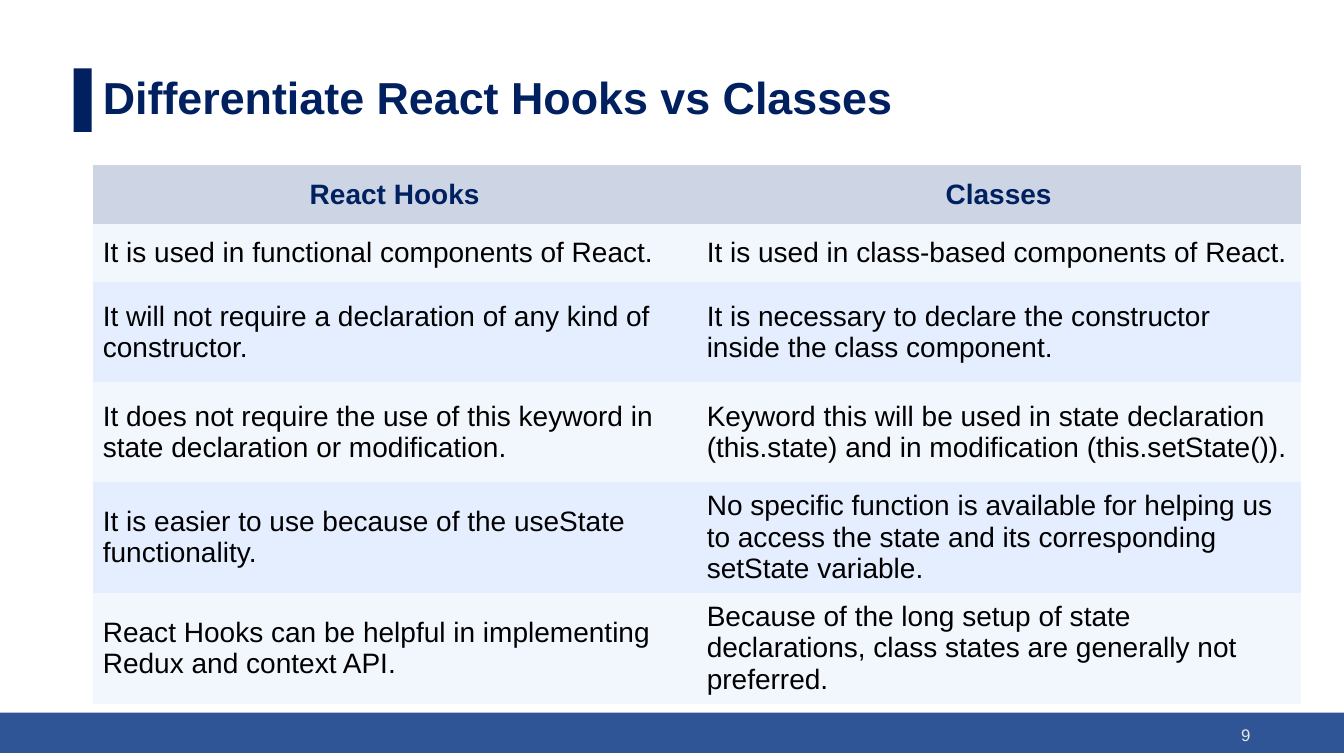
from dataclasses import dataclass

from pptx import Presentation
from pptx import util as u
from pptx.dml import color
from pptx.enum import shapes, text
from pptx.oxml import ns

PX = 9144
NAVY = "002060"
FONT = "Arial"
NO_GRID_STYLE = "{2D5ABB26-0587-4C30-8999-92F81FD0307C}"


@dataclass(frozen=True)
class Box:
    left: int
    top: int
    width: int
    height: int

    def emu(self):
        return [px(n) for n in (self.left, self.top, self.width, self.height)]


@dataclass(frozen=True)
class Bar:
    box: Box
    fill: str


@dataclass(frozen=True)
class Comparison:
    hooks: str
    classes: str
    height: int


BARS = [
    Bar(Box(0, 707, 1333, 40), "2F5597"),
    Bar(Box(73, 68, 18, 63), NAVY),
]
TITLE_BOX = Box(92, 68, 1150, 63)
NUMBER_BOX = Box(950, 709, 300, 40)
TABLE_BOX = Box(92, 164, 1198, 512)
HEADER_FILL = "CDD5E4"
BAND_FILLS = ["F2F6FD", "E4EEFF"]
COMPARISONS = [
    Comparison("React Hooks", "Classes", 58),
    Comparison(
        "It is used in functional components of React.",
        "It is used in class-based components of React.",
        58,
    ),
    Comparison(
        "It will not require a declaration of any kind of constructor.",
        "It is necessary to declare the constructor inside the class component.",
        99,
    ),
    Comparison(
        "It does not require the use of this keyword in state declaration or modification.",
        "Keyword this will be used in state declaration (this.state) "
        "and in modification (this.setState()).",
        99,
    ),
    Comparison(
        "It is easier to use because of the useState functionality.",
        "No specific function is available for helping us to access the state "
        "and its corresponding setState variable.",
        99,
    ),
    Comparison(
        "React Hooks can be helpful in implementing Redux and context API.",
        "Because of the long setup of state declarations, "
        "class states are generally not preferred.",
        99,
    ),
]


def px(length: int) -> u.Emu:
    return u.Emu(length * PX)


def paint(target, colour: str) -> None:
    target.solid()
    target.fore_color.rgb = color.RGBColor.from_string(colour)


def write(frame, words: str, *, size: int, colour: str, bold: bool = False,
          align=text.PP_ALIGN.LEFT, spacing: float = 1.0) -> None:
    frame.word_wrap = True
    paragraph = frame.paragraphs[0]
    paragraph.alignment = align
    paragraph.line_spacing = spacing
    run = paragraph.add_run()
    run.text = words
    run.font.name = FONT
    run.font.size = u.Pt(size)
    run.font.bold = bold
    paint(run.font.fill, colour)


def draw_bar(slide, bar: Bar) -> None:
    shape = slide.shapes.add_shape(shapes.MSO_SHAPE.RECTANGLE, *bar.box.emu())
    shape.shadow.inherit = False
    paint(shape.fill, bar.fill)
    shape.line.fill.background()


def draw_title(slide) -> None:
    title = slide.shapes.title
    title.left, title.top, title.width, title.height = TITLE_BOX.emu()
    paint(title.fill, "FFFFFF")
    title.text_frame.auto_size = text.MSO_AUTO_SIZE.NONE
    title.text_frame.vertical_anchor = text.MSO_ANCHOR.MIDDLE
    write(title.text_frame, "Differentiate React Hooks vs Classes",
          size=32, colour=NAVY, bold=True, spacing=0.9)


def draw_number(slide) -> None:
    frame = slide.shapes.add_textbox(*NUMBER_BOX.emu()).text_frame
    frame.vertical_anchor = text.MSO_ANCHOR.MIDDLE
    write(frame, "9", size=12, colour="E7E6E6", align=text.PP_ALIGN.RIGHT)


def draw_table(slide) -> None:
    table = slide.shapes.add_table(len(COMPARISONS), 2, *TABLE_BOX.emu()).table
    table._tbl.tblPr.find(ns.qn("a:tableStyleId")).text = NO_GRID_STYLE
    table.horz_banding = False
    for index, comparison in enumerate(COMPARISONS):
        header = index == 0
        table.rows[index].height = px(comparison.height)
        fill = HEADER_FILL if header else BAND_FILLS[(index - 1) % 2]
        for column, words in enumerate((comparison.hooks, comparison.classes)):
            cell = table.cell(index, column)
            paint(cell.fill, fill)
            cell.vertical_anchor = text.MSO_ANCHOR.MIDDLE
            write(cell.text_frame, words, size=20, bold=header,
                  colour=NAVY if header else "000000",
                  align=text.PP_ALIGN.CENTER if header else text.PP_ALIGN.LEFT)


def main() -> None:
    presentation = Presentation()
    presentation.slide_width = px(1333)
    presentation.slide_height = px(750)
    slide = presentation.slides.add_slide(presentation.slide_layouts[5])
    for bar in BARS:
        draw_bar(slide, bar)
    draw_title(slide)
    draw_number(slide)
    draw_table(slide)
    presentation.save("out.pptx")


if __name__ == "__main__":
    main()
